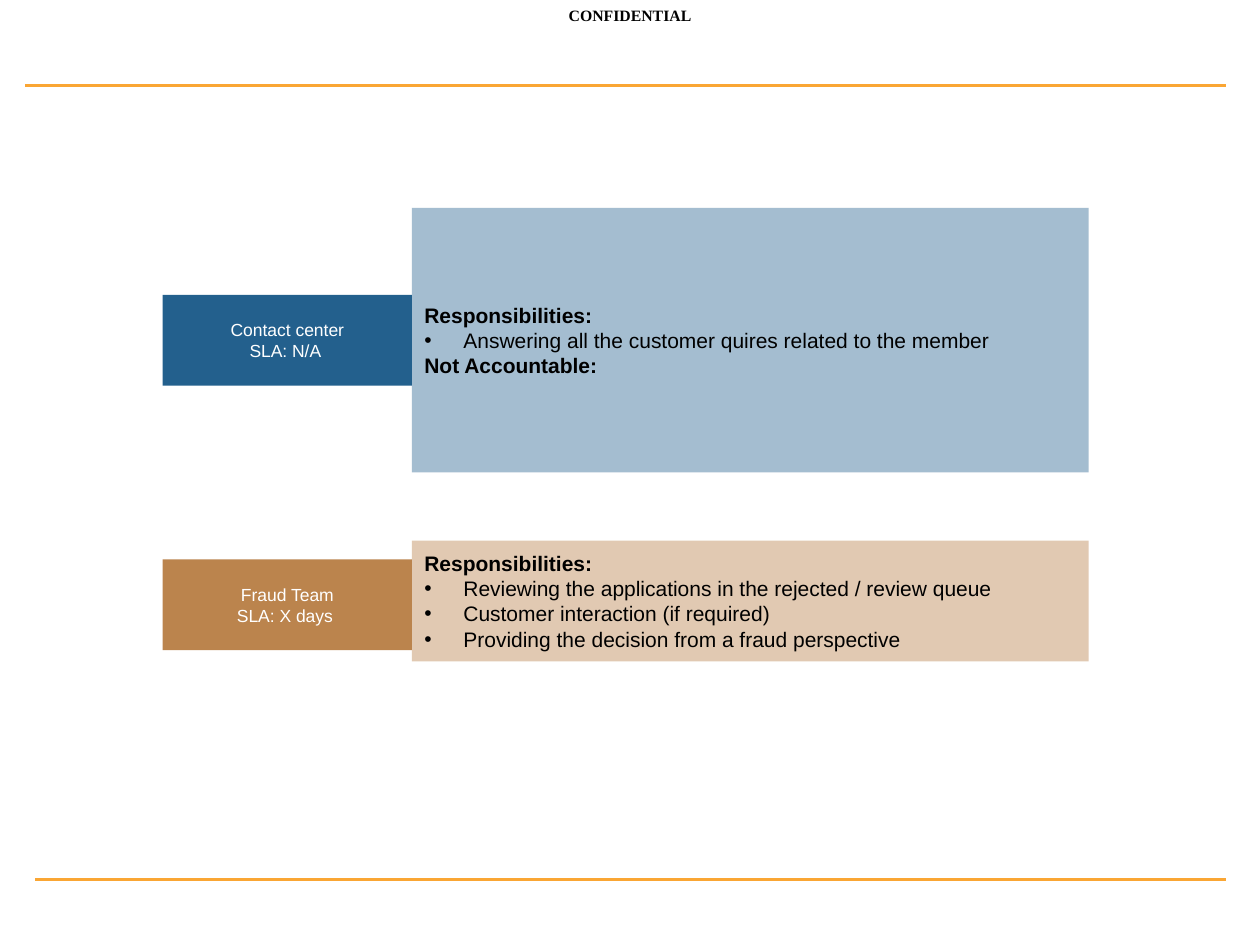
from dataclasses import dataclass

from lxml import etree
from pptx import Presentation
from pptx.dml.color import RGBColor
from pptx.enum.shapes import MSO_CONNECTOR, MSO_SHAPE
from pptx.enum.text import MSO_ANCHOR, PP_ALIGN
from pptx.oxml.ns import qn
from pptx.util import Pt

PX = 9144  # 100 px to the inch
RECT, STRAIGHT = MSO_SHAPE.RECTANGLE, MSO_CONNECTOR.STRAIGHT
LEFT, CENTER = PP_ALIGN.LEFT, PP_ALIGN.CENTER
MIDDLE, TOP = MSO_ANCHOR.MIDDLE, MSO_ANCHOR.TOP

COLORS = {"orange": "FAA634", "blue": "23608D", "brown": "BB844D",
          "white": "FFFFFF", "black": "000000"}

LABEL_X, LABEL_W, LABEL_H = 129, 198, 72
DETAIL_X, DETAIL_W = LABEL_X + LABEL_W, 537
BULLET_INDENT = 31


@dataclass
class Line:
    text: str
    bold: bool = False
    bullet: bool = False


@dataclass
class Team:
    color: str
    alpha: int  # opacity of the detail panel, percent
    label_y: int
    detail_y: int
    detail_h: int
    label: list[Line]
    details: list[Line]


TEAMS = [
    Team("blue", 41, 234, 165, 210,
         [Line("Contact center"), Line("SLA: N/A ")],
         [Line("Responsibilities:", bold=True),
          Line("Answering all the customer quires related to the member", bullet=True),
          Line("Not Accountable:", bold=True)]),
    Team("brown", 43, 444, 429, 96,
         [Line("Fraud Team"), Line("SLA: X days ")],
         [Line("Responsibilities:", bold=True),
          Line("Reviewing the applications in the rejected / review queue", bullet=True),
          Line("Customer interaction (if required)", bullet=True),
          Line("Providing the decision from a fraud perspective", bullet=True)]),
]


def rgb(name: str) -> RGBColor:
    return RGBColor.from_string(COLORS[name])


def add_bullet(p) -> None:
    pPr = p._p.get_or_add_pPr()
    pPr.set("marL", str(BULLET_INDENT * PX))
    pPr.set("indent", str(-BULLET_INDENT * PX))
    etree.SubElement(pPr, qn("a:buFont")).set("typeface", "Arial")
    etree.SubElement(pPr, qn("a:buChar")).set("char", "•")


def write(tf, lines: list[Line], *, size: int, color: str, align=LEFT,
          anchor=MIDDLE, font: str = "Arial") -> None:
    tf.word_wrap = True
    tf.vertical_anchor = anchor
    for i, line in enumerate(lines):
        p = tf.add_paragraph() if i else tf.paragraphs[0]
        p.alignment = align
        if line.bullet:
            add_bullet(p)
        r = p.add_run()
        r.text = line.text
        r.font.name, r.font.size, r.font.bold = font, Pt(size), line.bold
        r.font.color.rgb = rgb(color)


def add_rule(s, x1: int, x2: int, y: int, width: float) -> None:
    """Draw a horizontal orange line across the slide."""
    line = s.shapes.add_connector(STRAIGHT, x1 * PX, y * PX, x2 * PX, y * PX)
    line.line.color.rgb = rgb("orange")
    line.line.width = Pt(width)
    etree.SubElement(line._element.spPr, qn("a:effectLst"))


def add_panel(s, x: int, y: int, w: int, h: int, color: str, alpha: int = 100):
    sp = s.shapes.add_shape(RECT, x * PX, y * PX, w * PX, h * PX)
    sp.shadow.inherit = False
    sp.fill.solid()
    sp.fill.fore_color.rgb = rgb(color)
    sp.line.fill.background()
    if alpha < 100:
        clr = sp._element.spPr.find(qn("a:solidFill")).find(qn("a:srgbClr"))
        etree.SubElement(clr, qn("a:alpha")).set("val", str(alpha * 1000))
    return sp


def add_team(s, team: Team) -> None:
    label = add_panel(s, LABEL_X, team.label_y, LABEL_W, LABEL_H, team.color)
    write(label.text_frame, team.label, size=10, color="white", align=CENTER)
    detail = add_panel(s, DETAIL_X, team.detail_y, DETAIL_W, team.detail_h,
                       team.color, team.alpha)
    write(detail.text_frame, team.details, size=12, color="black")


def main() -> None:
    prs = Presentation()
    prs.slide_width, prs.slide_height = 1000 * PX, 750 * PX
    s = prs.slides.add_slide(prs.slide_layouts[6])

    add_rule(s, 20, 973, 68, 2)
    banner = s.shapes.add_textbox(0, 0, 1000 * PX, 25 * PX)
    write(banner.text_frame, [Line("CONFIDENTIAL", bold=True)], size=9,
          color="black", align=CENTER, anchor=TOP, font="Times New Roman")
    add_rule(s, 28, 973, 698, 2.25)

    for team in TEAMS:
        add_team(s, team)
    prs.save("out.pptx")


if __name__ == "__main__":
    main()
